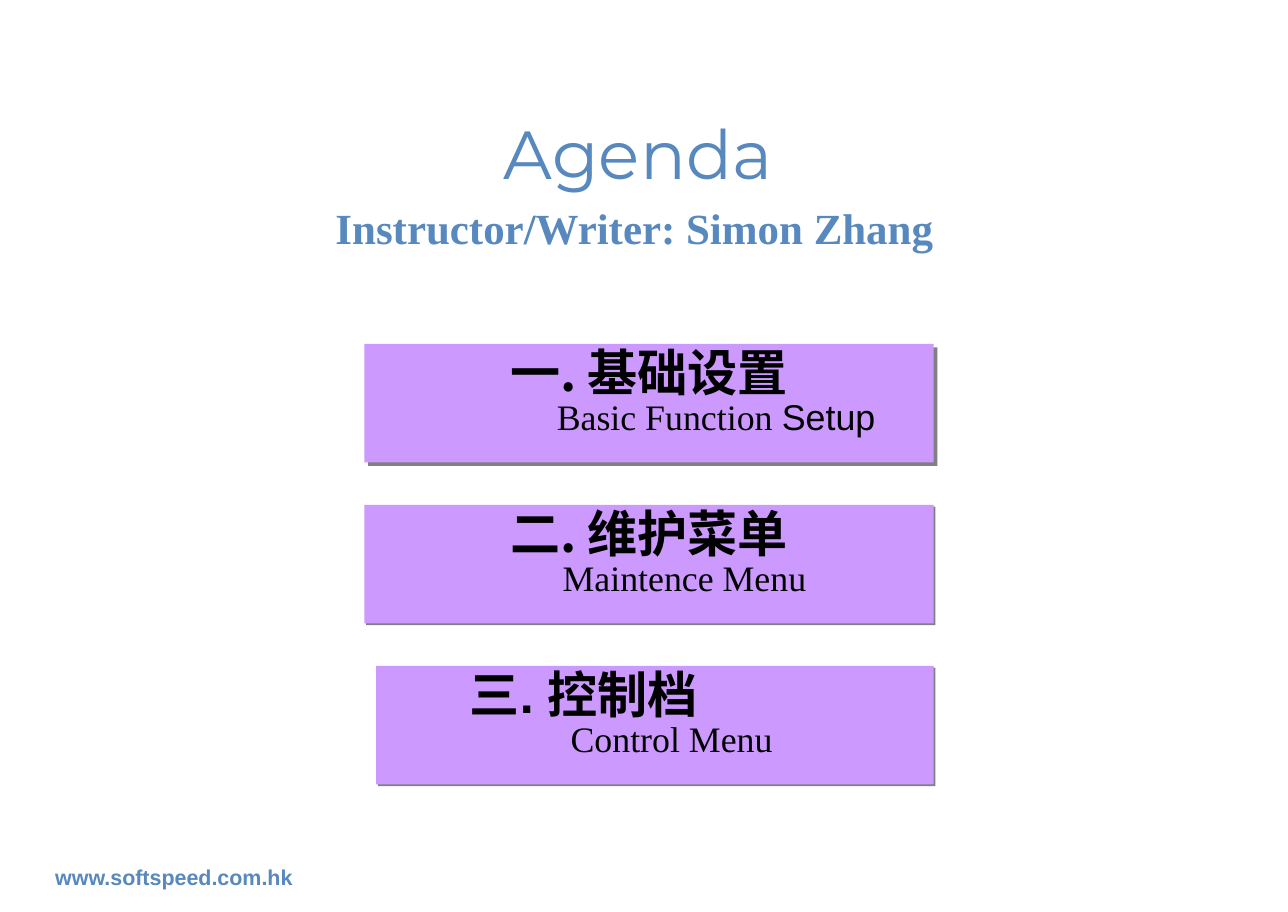
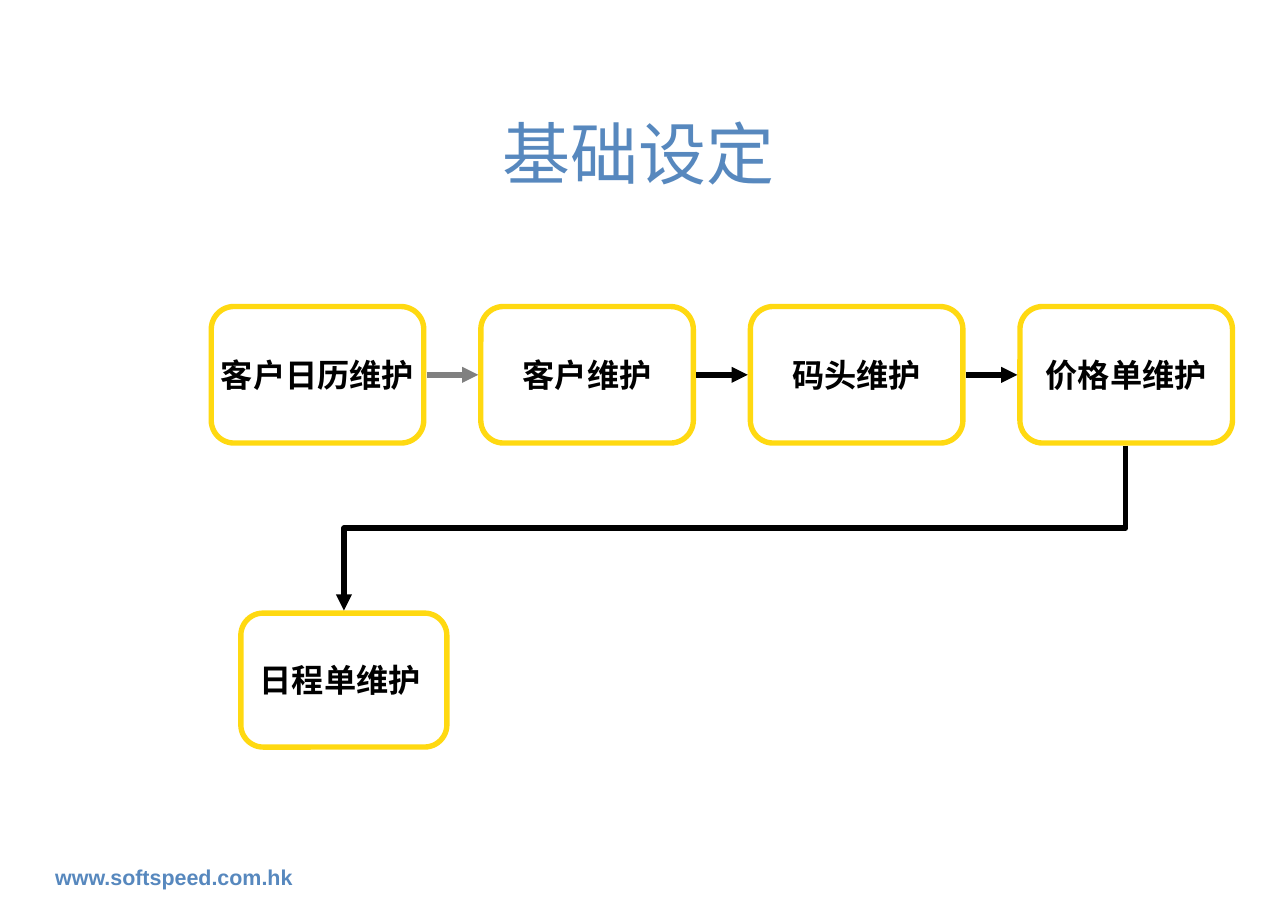
from lxml import etree
from pptx import Presentation
from pptx import util as u
from pptx.dml.color import RGBColor
from pptx.enum import shapes, text
from pptx.oxml import ns

COLORS = {
    "blue": "5788BE",
    "purple": "CC99FF",
    "yellow": "FFD911",
    "gray": "808080",
    "black": "000000",
    "white": "FFFFFF",
}
LEFT, CENTER = text.PP_ALIGN.LEFT, text.PP_ALIGN.CENTER
TOP, MIDDLE = text.MSO_ANCHOR.TOP, text.MSO_ANCHOR.MIDDLE


def rgb(name):
    return RGBColor.from_string(COLORS[name])


def sub(parent, tag, **attrs):
    return etree.SubElement(parent, ns.qn(tag), attrs)


def style(p, size, font, color, bold=False, align=CENTER):
    p.alignment = align
    p.font.size = u.Pt(size)
    p.font.name = font
    p.font.bold = bold
    p.font.color.rgb = rgb(color)


def add_text(s, box, content, size, font, bold=True, align=CENTER,
             anchor=TOP, wrap=True):
    """Blue text box, as used by titles, the subtitle and the footer."""
    tf = s.shapes.add_textbox(*map(u.Inches, box)).text_frame
    tf.word_wrap = wrap
    tf.vertical_anchor = anchor
    p = tf.paragraphs[0]
    p.text = content
    style(p, size, font, "blue", bold, align)
    return p


def add_base(prs, title):
    """Blank slide with the shared title and footer."""
    s = prs.slides.add_slide(prs.slide_layouts[6])
    add_text(s, (0.33, 6.66, 3.42, 0.3), "www.softspeed.com.hk", 12, "Arial",
             align=LEFT)
    add_text(s, (0.33, 0.71, 9.25, 0.94), title, 38, "Montserrat", bold=False,
             anchor=MIDDLE)
    return s


def add_shape(s, kind, box, fill):
    sp = s.shapes.add_shape(kind, *map(u.Inches, box))
    sp.shadow.inherit = False
    sp.fill.solid()
    sp.fill.fore_color.rgb = rgb(fill)
    sp.line.fill.background()
    return sp


def add_shadow(sp, distance):
    """Hard gray shadow to the lower right; distance in points."""
    effects = sp._element.spPr.find(ns.qn("a:effectLst"))
    shadow = sub(effects, "a:outerShdw", dist=str(u.Pt(distance)),
                 dir="2700000", algn="ctr", rotWithShape="0")
    sub(shadow, "a:srgbClr", val=COLORS["gray"])


def add_agenda_item(s, left, top, shadow, lines):
    """Purple bar; each line is (runs, size, bold, left margin, alignment)."""
    sp = add_shape(s, shapes.MSO_SHAPE.RECTANGLE,
                   (left, top, 7.25 - left, 0.92), "purple")
    add_shadow(sp, shadow)
    tf = sp.text_frame
    tf.vertical_anchor = TOP
    for i, (runs, size, bold, margin, align) in enumerate(lines):
        p = tf.add_paragraph() if i else tf.paragraphs[0]
        p._p.get_or_add_pPr().set("marL", str(u.Inches(margin)))
        p.line_spacing = 0.85
        style(p, size, "Arial", "black", bold, align)
        for content, font in runs:
            r = p.add_run()
            r.text = content
            r.font.name = font


def add_step(s, left, top, width, height, label):
    sp = add_shape(s, shapes.MSO_SHAPE.ROUNDED_RECTANGLE,
                   (left, top, width, height), "white")
    sp.line.color.rgb = rgb("yellow")
    sp.line.width = u.Pt(3)
    tf = sp.text_frame
    tf.word_wrap = False
    tf.vertical_anchor = MIDDLE
    p = tf.paragraphs[0]
    p.text = label
    style(p, 18, "Arial", "black", True)


def add_arrow(s, start, end, color="black", kind=shapes.MSO_CONNECTOR.STRAIGHT):
    cx = s.shapes.add_connector(kind, *map(u.Inches, (*start, *end)))
    cx.line.color.rgb = rgb(color)
    cx.line.width = u.Pt(3)
    sub(cx.line._get_or_add_ln(), "a:tailEnd", type="triangle")
    sub(cx._element.spPr, "a:effectLst")
    return cx


def add_down_elbow(s, start, end):
    """Arrow that goes down, left, then down: an elbow turned by 90 degrees."""
    (x1, y1), (x2, y2) = start, end
    mid_x, mid_y = (x1 + x2) / 2, (y1 + y2) / 2
    half_w, half_h = (y2 - y1) / 2, (x1 - x2) / 2
    cx = add_arrow(s, (mid_x - half_w, mid_y - half_h),
                   (mid_x + half_w, mid_y + half_h),
                   kind=shapes.MSO_CONNECTOR.ELBOW)
    cx._element.spPr.find(ns.qn("a:xfrm")).set("rot", "5400000")


def build_agenda(prs):
    s = add_base(prs, "Agenda")
    cjk, serif = "Noto Sans CJK TC", "Times New Roman"
    items = [
        (2.83, 2.8, [("一. 基础", cjk), ("设置", "Arial")], 0, CENTER,
         [("Basic Function ", serif), ("Setup", "Arial")], 1.04),
        (2.83, 1.4, [("二. ", cjk), ("维护菜单", "Arial")], 0, CENTER,
         [("Maintence Menu", serif)], 0.55),
        (2.92, 1.4, [("三. 控制档", "Arial")], 0.63, LEFT,
         [("Control Menu", serif)], 0.26),
    ]
    for i, (left, shadow, head, indent, align, detail, margin) in enumerate(items):
        add_agenda_item(s, left, 2.67 + 1.25 * i, shadow, [
            (head, 28, True, indent, align),
            (detail, 20, False, margin, CENTER),
        ])
    p = add_text(s, (2.5, 1.58, 4.85, 0.44), "Instructor/Writer: Simon Zhang",
                 24, serif, wrap=False)
    p.line_spacing = 0.85


def build_setup_flow(prs):
    s = add_base(prs, "基础设定")
    left, top, width, height, pitch = 1.64, 2.38, 1.65, 1.06, 2.093
    labels = ["客户日历维护", "客户维护", "码头维护", "价格单维护"]
    for i, label in enumerate(labels):
        x = left + pitch * i
        add_step(s, x, top, width, height, label)
        if i:
            y = top + height / 2
            add_arrow(s, (x - 0.42, y), (x - 0.02, y),
                      "gray" if i == 1 else "black")
    add_step(s, 1.87, 4.76, 1.6, 1.04, "日程单维护 ")
    add_down_elbow(s, (8.74, 3.46), (2.67, 4.74))


def main():
    prs = Presentation()
    prs.slide_width, prs.slide_height = u.Inches(10), u.Inches(7.08)
    build_agenda(prs)
    build_setup_flow(prs)
    prs.save("out.pptx")


if __name__ == "__main__":
    main()
